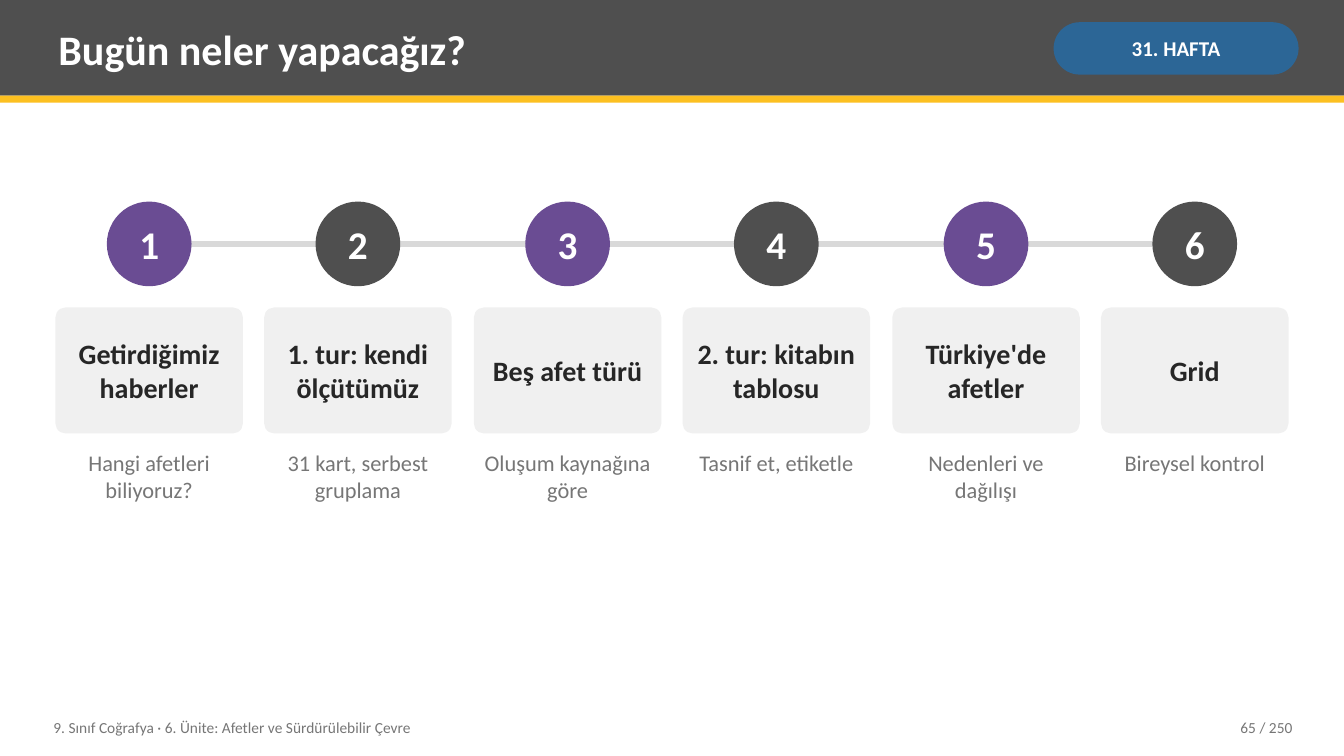
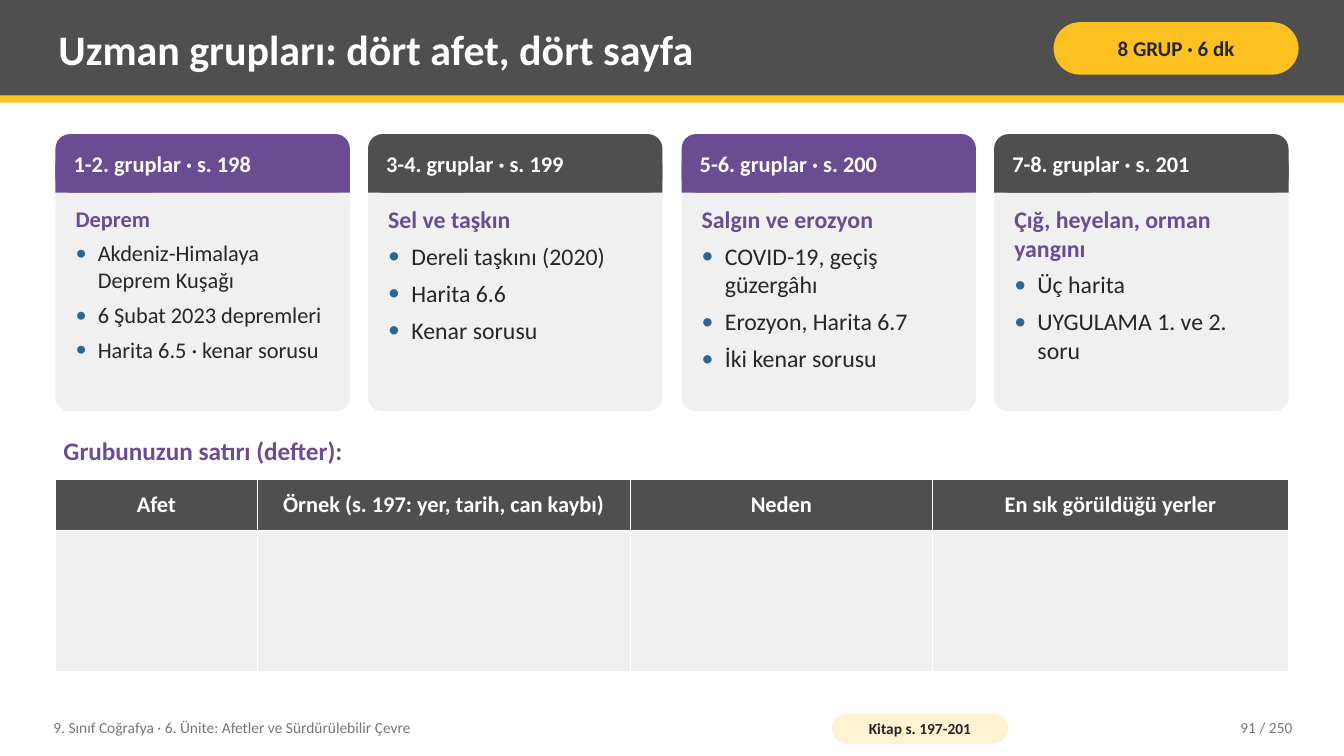
from lxml import etree
from pptx import Presentation
from pptx import util as u
from pptx.dml.color import RGBColor
from pptx.enum import shapes as kinds, text as txt
from pptx.oxml.ns import qn

HUES = dict(dark="4F4F4F", gold="FCC021", cream="FFF3D1", blue="2C6696",
            plum="6A4C93", pale="F0F0F0", rule="D9D9D9", ink="262626",
            gray="767676", white="FFFFFF")
FONT = "Calibri"
PX = u.Inches(1) // 100
WIDE, HIGH = 1333, 750
LEFT, SPAN = 55, 1223
ALIGN = dict(l=txt.PP_ALIGN.LEFT, c=txt.PP_ALIGN.CENTER, r=txt.PP_ALIGN.RIGHT)
KIND = kinds.MSO_SHAPE
MID, TOP = txt.MSO_ANCHOR.MIDDLE, txt.MSO_ANCHOR.TOP
PAD = (8, 4, 8, 4)


def hue(name):
    return RGBColor.from_string(HUES[name])


def put(para, words, size=16, color="ink", bold=False, align="l", after=0):
    """Write words into a paragraph with the given format."""
    para.text = words
    para.alignment = ALIGN[align]
    para.space_after = u.Pt(after)
    font = para.font
    font.name, font.size, font.bold = FONT, u.Pt(size), bold
    font.color.rgb = hue(color)


def bullet(para, color, indent):
    """Give a paragraph a coloured round bullet and a hanging indent."""
    props = para._p.get_or_add_pPr()
    props.set("marL", str(indent * PX))
    props.set("indent", str(-indent * PX))
    tint = etree.SubElement(props, qn("a:buClr"))
    etree.SubElement(tint, qn("a:srgbClr"), val=HUES[color])
    etree.SubElement(props, qn("a:buFont"), typeface=FONT)
    etree.SubElement(props, qn("a:buChar"), char="•")


def spread(count, width):
    """Left edges of equal boxes that fill the content span."""
    step = (SPAN - width) / (count - 1)
    return [LEFT + int(i * step + 0.5) for i in range(count)]


class Deck:
    def __init__(self):
        self.file = Presentation()
        self.file.slide_width = WIDE * PX
        self.file.slide_height = HIGH * PX
        self.slide = None

    def frame(self, shape, pad=PAD, anchor=MID, wrap=True):
        area = shape.text_frame
        area.word_wrap, area.auto_size = wrap, txt.MSO_AUTO_SIZE.NONE
        area.vertical_anchor = anchor
        (area.margin_left, area.margin_top,
         area.margin_right, area.margin_bottom) = [n * PX for n in pad]
        return area

    def shape(self, kind, x, y, w, h, fill, adj=None):
        item = self.slide.shapes.add_shape(kind, x * PX, y * PX, w * PX, h * PX)
        item.shadow.inherit = False
        item.fill.solid()
        item.fill.fore_color.rgb = hue(fill)
        item.line.fill.background()
        if adj is not None:
            item.adjustments[0] = adj
        return item

    def label(self, item, words, pad=PAD, wrap=True, **form):
        """Centred bold text inside a shape."""
        area = self.frame(item, pad, wrap=wrap)
        put(area.paragraphs[0], words, bold=True, align="c", **form)

    def pill(self, x, y, w, h, fill, words, pad, **form):
        item = self.shape(KIND.ROUNDED_RECTANGLE, x, y, w, h, fill, 0.5)
        self.label(item, words, pad, **form)

    def box(self, x, y, w, h, anchor=TOP):
        item = self.slide.shapes.add_textbox(x * PX, y * PX, w * PX, h * PX)
        return self.frame(item, anchor=anchor)

    def text(self, x, y, w, h, words, anchor=TOP, **form):
        put(self.box(x, y, w, h, anchor).paragraphs[0], words, **form)

    def line(self, x1, y1, x2, y2, color, width):
        item = self.slide.shapes.add_connector(
            kinds.MSO_CONNECTOR.STRAIGHT, x1 * PX, y1 * PX, x2 * PX, y2 * PX)
        item.line.color.rgb = hue(color)
        item.line.width = u.Pt(width)
        etree.SubElement(item._element.spPr, qn("a:effectLst"))

    def page(self, title, tag, fill, color, number):
        """Start a slide with its band, title, tag and footer."""
        self.slide = self.file.slides.add_slide(self.file.slide_layouts[5])
        self.shape(KIND.RECTANGLE, 0, 0, WIDE, 95, "dark")
        self.shape(KIND.RECTANGLE, 0, 95, WIDE, 7, "gold")
        head = self.slide.shapes.title
        head.left, head.top = 50 * PX, 7 * PX
        head.width, head.height = 975 * PX, 82 * PX
        put(self.frame(head).paragraphs[0], title, size=30, color="white",
            bold=True)
        self.slide.shapes._spTree.append(head._element)  # above the band
        self.pill(1045, 22, 243, 52, fill, tag, (5, 2, 5, 2), size=15,
                  color=color)
        foot = dict(anchor=MID, size=11, color="gray")
        self.text(45, 704, 760, 36,
                  "9. Sınıf Coğrafya · 6. Ünite: Afetler ve Sürdürülebilir Çevre",
                  **foot)
        self.text(1130, 704, 160, 36, f"{number} / 250", align="r", **foot)

    def step(self, x, number, fill, name, note):
        """One numbered stop with its name and note."""
        wide, dot = 186, 84
        disc = self.shape(KIND.OVAL, x + (wide - dot) // 2, 200, dot, dot, fill)
        self.label(disc, str(number), (0, 0, 0, 0), wrap=False, size=28,
                   color="white")
        card = self.shape(KIND.ROUNDED_RECTANGLE, x, 305, wide, 125, "pale",
                          0.08)
        self.label(card, name, (8, 8, 8, 8), size=20)
        self.text(x, 442, wide, 190, note, color="gray", align="c")

    def card(self, x, fill, head, size, topic, points):
        """A card with a coloured head, a topic and bullets."""
        top, wide, cap = 133, 292, 58
        self.shape(KIND.ROUNDED_RECTANGLE, x, top, wide, 275, "pale", 0.05)
        self.shape(KIND.ROUNDED_RECTANGLE, x, top, wide, cap, fill, 0.25)
        self.shape(KIND.RECTANGLE, x, top + cap // 2, wide, cap // 2, fill)
        self.text(x + 10, top, wide - 20, cap, head, anchor=MID,
                  color="white", bold=True)
        area = self.box(x + 12, 199, wide - 24, 201)
        gap = size * 0.35
        put(area.paragraphs[0], topic, size=size, color="plum", bold=True,
            after=gap)
        for point in points:
            para = area.add_paragraph()
            bullet(para, "blue", size + 6)
            put(para, point, size=size, after=gap)

    def table(self, x, y, cols, rows, heads):
        grid = self.slide.shapes.add_table(
            len(rows), len(cols), x * PX, y * PX, sum(cols) * PX,
            sum(rows) * PX).table
        for col, wide in zip(grid.columns, cols):
            col.width = wide * PX
        for row, high, fill in zip(grid.rows, rows, ("dark", "pale")):
            row.height = high * PX
            for cell in row.cells:
                self.edge(cell)
                cell.fill.solid()
                cell.fill.fore_color.rgb = hue(fill)
        for cell, words in zip(grid.rows[0].cells, heads):
            cell.vertical_anchor = MID
            cell.margin_left = cell.margin_right = 6 * PX
            cell.margin_top = cell.margin_bottom = 5 * PX
            put(cell.text_frame.paragraphs[0], words, color="white",
                bold=True, align="c")

    def edge(self, cell):
        """White lines on all four sides of a cell."""
        props = cell._tc.get_or_add_tcPr()
        for side in "LRTB":
            line = etree.SubElement(props, qn(f"a:ln{side}"), w=str(u.Pt(0.96)))
            solid = etree.SubElement(line, qn("a:solidFill"))
            etree.SubElement(solid, qn("a:srgbClr"), val=HUES["white"])


def main():
    deck = Deck()
    fills = ("plum", "dark") * 3

    # Plan of the lesson
    deck.page("Bugün neler yapacağız?", "31. HAFTA", "blue", "white", 65)
    steps = [("Getirdiğimiz haberler", "Hangi afetleri biliyoruz?"),
             ("1. tur: kendi ölçütümüz", "31 kart, serbest gruplama"),
             ("Beş afet türü", "Oluşum kaynağına göre"),
             ("2. tur: kitabın tablosu", "Tasnif et, etiketle"),
             ("Türkiye'de afetler", "Nedenleri ve dağılışı"),
             ("Grid", "Bireysel kontrol")]
    deck.line(148, 242, 1186, 242, "rule", 4)
    spots = spread(len(steps), 186)
    for i, (x, fill, step) in enumerate(zip(spots, fills, steps), 1):
        deck.step(x, i, fill, *step)

    # Expert groups
    deck.page("Uzman grupları: dört afet, dört sayfa", "8 GRUP · 6 dk",
              "gold", "ink", 91)
    cards = [("1-2. gruplar · s. 198", 16, "Deprem",
              ["Akdeniz-Himalaya Deprem Kuşağı", "6 Şubat 2023 depremleri",
               "Harita 6.5 · kenar sorusu"]),
             ("3-4. gruplar · s. 199", 17, "Sel ve taşkın",
              ["Dereli taşkını (2020)", "Harita 6.6", "Kenar sorusu"]),
             ("5-6. gruplar · s. 200", 17, "Salgın ve erozyon",
              ["COVID-19, geçiş güzergâhı", "Erozyon, Harita 6.7",
               "İki kenar sorusu"]),
             ("7-8. gruplar · s. 201", 17, "Çığ, heyelan, orman yangını",
              ["Üç harita", "UYGULAMA 1. ve 2. soru"])]
    for x, fill, card in zip(spread(len(cards), 292), fills, cards):
        deck.card(x, fill, *card)

    # Row for the notebook
    deck.text(LEFT, 428, SPAN, 42, "Grubunuzun satırı (defter):", size=18,
              color="plum", bold=True)
    deck.table(LEFT, 476, (200, 370, 300, 353), (50, 140),
               ("Afet", "Örnek (s. 197: yer, tarih, can kaybı)", "Neden",
                "En sık görüldüğü yerler"))
    deck.pill(825, 708, 175, 30, "cream", "Kitap s. 197-201", (4, 0, 4, 0),
              size=11)

    deck.file.save("out.pptx")


if __name__ == "__main__":
    main()
